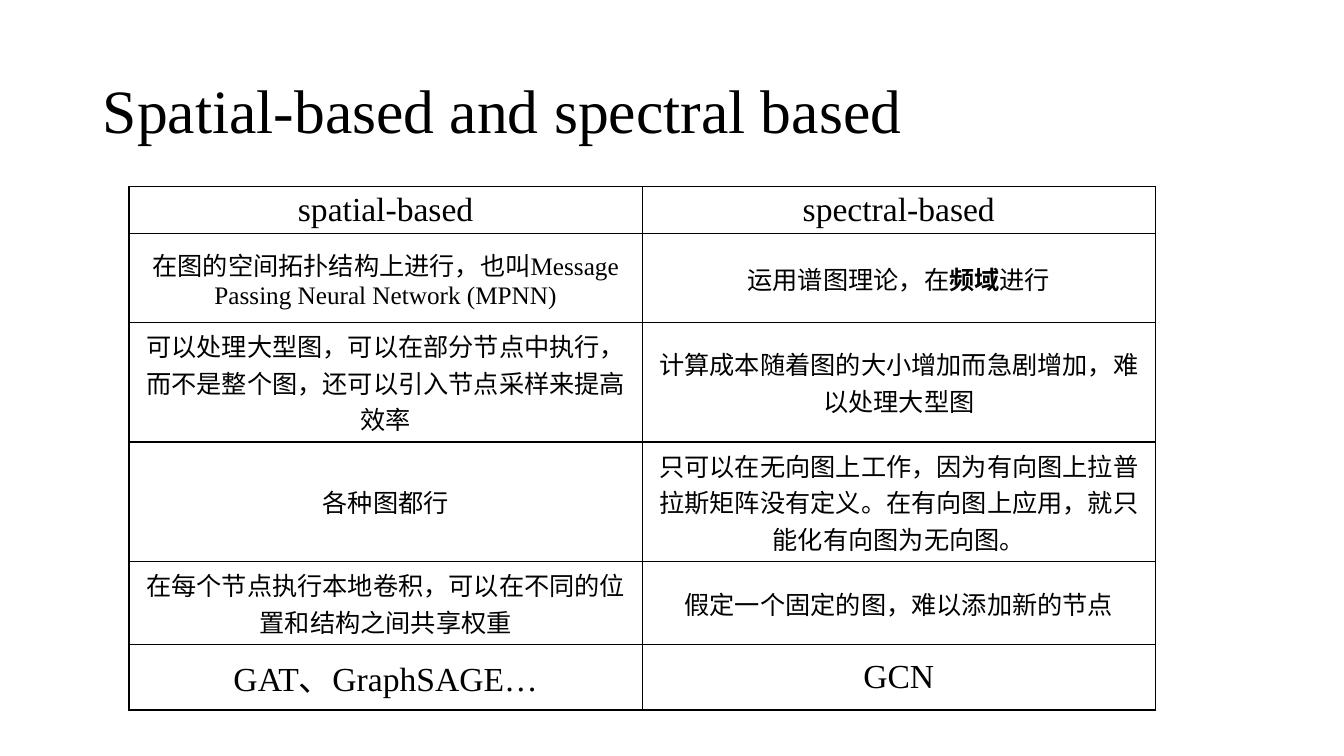
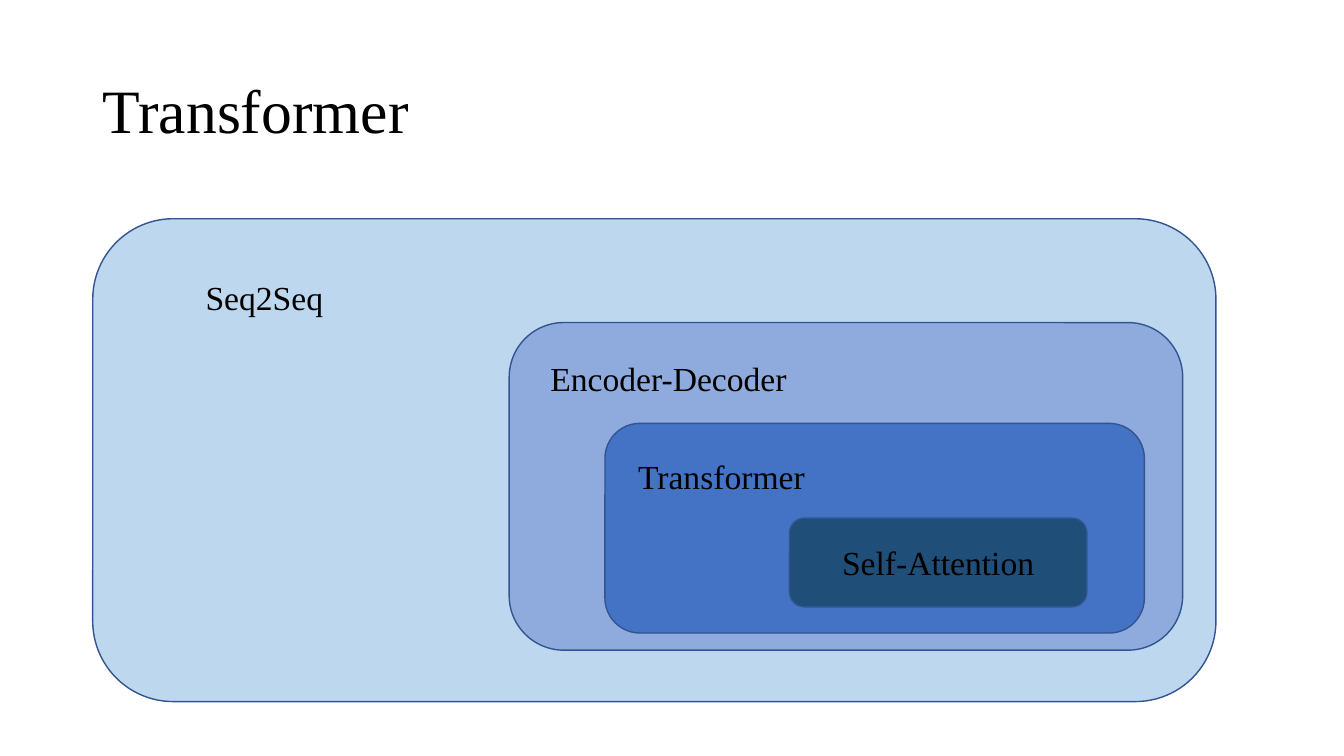
from dataclasses import dataclass

from lxml.etree import SubElement
from pptx import Presentation
from pptx.dml.color import RGBColor
from pptx.enum.shapes import MSO_SHAPE
from pptx.enum.text import MSO_ANCHOR as Anchor, MSO_AUTO_SIZE as AutoSize, PP_ALIGN as Align
from pptx.oxml.ns import qn
from pptx.util import Inches, Pt


@dataclass(frozen=True)
class Theme:
    font: str = "Times New Roman"
    ink: str = "000000"
    outline: str = "325491"
    title_size: int = 44
    label_size: int = 24
    body_size: int = 18
    line_width: int = 1


THEME = Theme()
SLIDE_SIZE = (13.33, 7.5)
TITLE_BOX = (0.92, 0.4, 11.5, 1.45)

COMPARISON_TITLE = "Spatial-based and spectral based"
# Each row: height, type size, spatial cell, spectral cell; **marks** set bold.
COMPARISON = [
    (0.44, THEME.label_size, "spatial-based", "spectral-based"),
    (0.88, THEME.body_size,
     "在图的空间拓扑结构上进行，也叫Message Passing Neural Network (MPNN)",
     "运用谱图理论，在**频域**进行"),
    (0.88, THEME.body_size,
     "可以处理大型图，可以在部分节点中执行，而不是整个图，还可以引入节点采样来提高效率",
     "计算成本随着图的大小增加而急剧增加，难以处理大型图"),
    (1, THEME.body_size,
     "各种图都行",
     "只可以在无向图上工作，因为有向图上拉普拉斯矩阵没有定义。在有向图上应用，就只能化有向图为无向图。"),
    (0.65, THEME.body_size,
     "在每个节点执行本地卷积，可以在不同的位置和结构之间共享权重",
     "假定一个固定的图，难以添加新的节点"),
    (0.65, THEME.label_size, "GAT、GraphSAGE…", "GCN"),
]
TABLE_ORIGIN = (1.28, 1.85)
COLUMN_WIDTH = 5.09

NESTING_TITLE = "Transformer"
# From outermost to innermost: label, fill, box, label box (None: centred in the box).
NESTING = [
    ("Seq2Seq", "BDD7EE", (0.92, 2.17, 11.14, 4.79), (1.94, 2.7, 1.41, 0.5)),
    ("Encoder-Decoder", "8FAADC", (5.05, 3.2, 6.68, 3.25), (5.36, 3.5, 2.62, 0.5)),
    ("Transformer", "4472C4", (6, 4.2, 5.35, 2.08), (6.23, 4.47, 2.03, 0.5)),
    ("Self-Attention", "1F4E79", (7.83, 5.14, 2.95, 0.88), None),
]


def inches(values):
    return [Inches(value) for value in values]


def write(frame, text, size=THEME.label_size, align=Align.LEFT, anchor=Anchor.TOP, spacing=None):
    """Fill a text frame with one paragraph; parts between ** are bold."""
    frame.word_wrap = True
    frame.vertical_anchor = anchor
    paragraph = frame.paragraphs[0]
    paragraph.alignment = align
    paragraph.line_spacing = spacing
    for index, part in enumerate(text.split("**")):
        run = paragraph.add_run()
        run.text = part
        run.font.name = THEME.font
        run.font.size = Pt(size)
        run.font.bold = index % 2 == 1
        run.font.color.rgb = RGBColor.from_string(THEME.ink)


def add_titled_slide(deck, layout, title):
    slide = deck.slides.add_slide(layout)
    frame = slide.shapes.title.text_frame
    frame.auto_size = AutoSize.NONE
    write(frame, title, size=THEME.title_size, anchor=Anchor.MIDDLE, spacing=0.9)
    return slide


def add_borders(cell):
    properties = cell._tc.get_or_add_tcPr()
    for position, side in enumerate(("a:lnL", "a:lnR", "a:lnT", "a:lnB")):
        line = SubElement(properties, qn(side), w=str(Pt(THEME.line_width)))
        fill = SubElement(line, qn("a:solidFill"))
        SubElement(fill, qn("a:srgbClr"), val=THEME.ink)
        properties.insert(position, line)


def add_comparison(slide):
    height = sum(row[0] for row in COMPARISON)
    box = inches((*TABLE_ORIGIN, 2 * COLUMN_WIDTH, height))
    table = slide.shapes.add_table(len(COMPARISON), 2, *box).table
    table.first_row = table.horz_banding = False
    for row, (row_height, size, *texts) in zip(table.rows, COMPARISON):
        row.height = Inches(row_height)
        for cell, text in zip(row.cells, texts):
            cell.fill.background()
            add_borders(cell)
            cell.vertical_anchor = Anchor.MIDDLE
            write(cell.text_frame, text, size=size, align=Align.CENTER, anchor=Anchor.MIDDLE)


def add_nesting(slide):
    for label, color, box, label_box in NESTING:
        level = slide.shapes.add_shape(MSO_SHAPE.ROUNDED_RECTANGLE, *inches(box))
        level.shadow.inherit = False
        level.fill.solid()
        level.fill.fore_color.rgb = RGBColor.from_string(color)
        level.line.color.rgb = RGBColor.from_string(THEME.outline)
        level.line.width = Pt(THEME.line_width)
        if label_box:
            write(slide.shapes.add_textbox(*inches(label_box)).text_frame, label)
        else:
            write(level.text_frame, label, align=Align.CENTER, anchor=Anchor.MIDDLE)


def main():
    deck = Presentation()
    deck.slide_width, deck.slide_height = inches(SLIDE_SIZE)
    layout = deck.slide_layouts.get_by_name("Title Only")
    title = layout.placeholders[0]
    title.left, title.top, title.width, title.height = inches(TITLE_BOX)

    add_comparison(add_titled_slide(deck, layout, COMPARISON_TITLE))
    add_nesting(add_titled_slide(deck, layout, NESTING_TITLE))
    deck.save("out.pptx")


if __name__ == "__main__":
    main()
